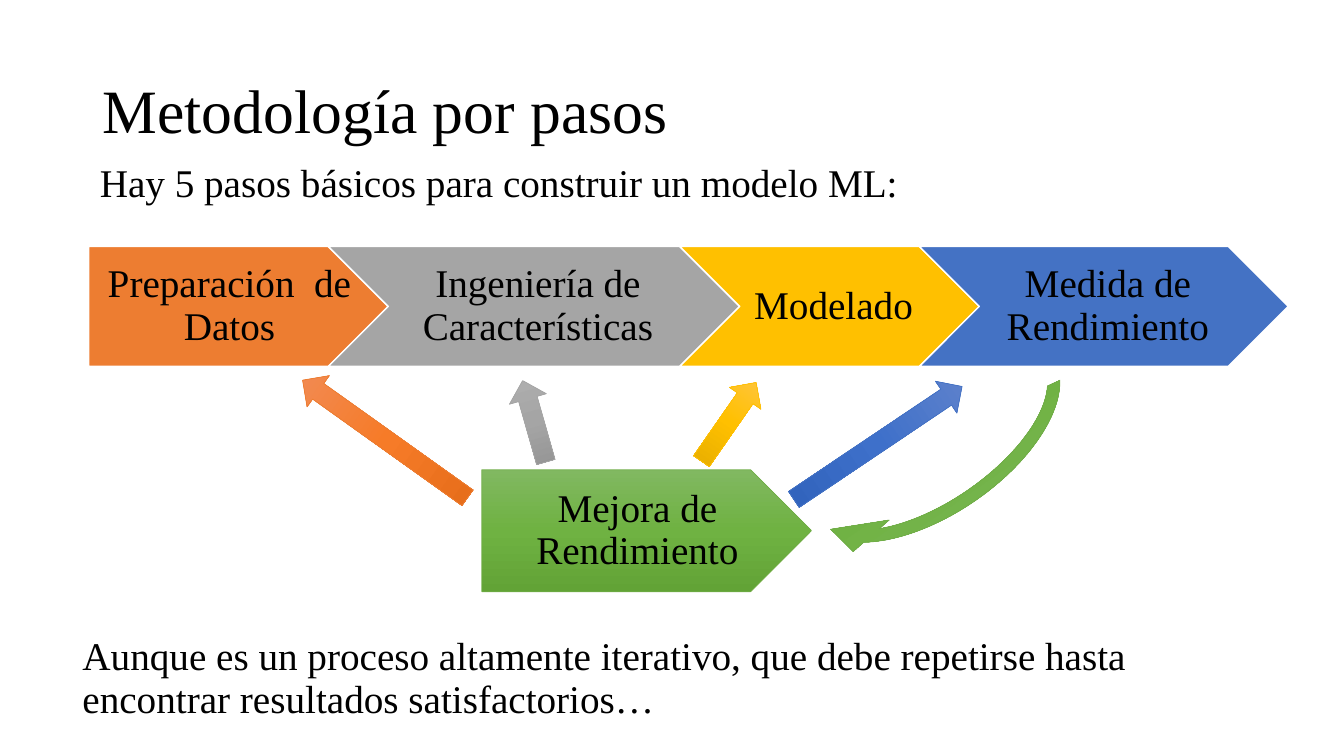
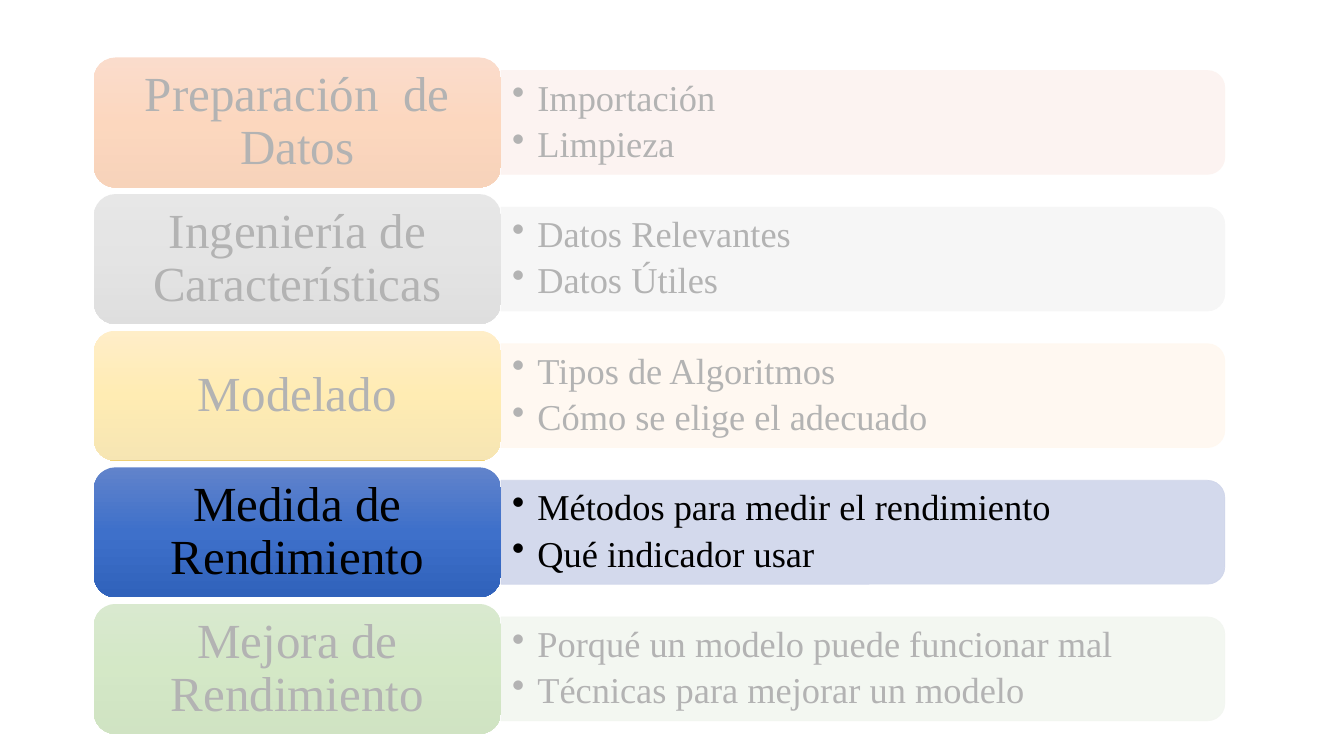
from copy import deepcopy
from dataclasses import dataclass
from typing import Optional

from lxml.etree import SubElement
from pptx import Presentation
from pptx.dml.color import RGBColor
from pptx.enum.shapes import MSO_SHAPE as Preset
from pptx.enum.text import MSO_ANCHOR as Anchor, MSO_AUTO_SIZE as AutoSize, PP_ALIGN as Align
from pptx.oxml.ns import qn
from pptx.util import Emu, Inches, Pt

SLIDE_WIDTH, SLIDE_HEIGHT = Emu(12192000), Inches(7.5)
FONT = "Times New Roman"
BLACK = RGBColor(0x00, 0x00, 0x00)
WHITE = RGBColor(0xFF, 0xFF, 0xFF)
ORANGE = RGBColor(0xED, 0x7D, 0x31)
GRAY = RGBColor(0xA5, 0xA5, 0xA5)
GOLD = RGBColor(0xFF, 0xC0, 0x00)
BLUE = RGBColor(0x44, 0x72, 0xC4)
GREEN = RGBColor(0x70, 0xAD, 0x47)
ORANGE_TINT = RGBColor(0xF8, 0xD7, 0xCE)
GRAY_TINT = RGBColor(0xE1, 0xE1, 0xE1)
GOLD_TINT = RGBColor(0xFF, 0xE8, 0xCC)
BLUE_TINT = RGBColor(0xCF, 0xD5, 0xEA)
GREEN_TINT = RGBColor(0xD5, 0xE3, 0xCF)
ORANGE_TONES = (RGBColor(0xF1, 0x8C, 0x57), RGBColor(0xF6, 0x7B, 0x28), RGBColor(0xE5, 0x6C, 0x19))
GRAY_TONES = (RGBColor(0xAF, 0xAF, 0xAF), RGBColor(0xA5, 0xA5, 0xA5), RGBColor(0x93, 0x93, 0x93))
GOLD_TONES = (RGBColor(0xFF, 0xC6, 0x4B), RGBColor(0xFF, 0xC0, 0x00), RGBColor(0xE3, 0xAB, 0x00))
BLUE_TONES = (RGBColor(0x61, 0x83, 0xCB), RGBColor(0x3E, 0x70, 0xCA), RGBColor(0x30, 0x62, 0xBB))
GREEN_TONES = (RGBColor(0x81, 0xB8, 0x61), RGBColor(0x6F, 0xB2, 0x42), RGBColor(0x62, 0xA3, 0x36))


@dataclass(frozen=True)
class Area:
    """Position and size in percent of the slide."""

    left: float
    top: float
    width: float
    height: float

    def emu(self) -> tuple:
        return (
            Emu(round(SLIDE_WIDTH * self.left / 100)),
            Emu(round(SLIDE_HEIGHT * self.top / 100)),
            Emu(round(SLIDE_WIDTH * self.width / 100)),
            Emu(round(SLIDE_HEIGHT * self.height / 100)),
        )

    def quarter_turned(self) -> tuple:
        left, top, width, height = self.emu()
        shift = (width - height) // 2
        return Emu(left + shift), Emu(top - shift), height, width


@dataclass(frozen=True)
class Step:
    name: str
    color: RGBColor
    tones: tuple
    tint: RGBColor
    topics: tuple
    width: float = 0


@dataclass(frozen=True)
class FeedbackArrow:
    area: Area
    rotation: float


STEPS = (
    Step("Preparación  de Datos", ORANGE, ORANGE_TONES, ORANGE_TINT,
         ("Importación", "Limpieza"), 22.28),
    Step("Ingeniería de Características", GRAY, GRAY_TONES, GRAY_TINT,
         ("Datos Relevantes", "Datos Útiles"), 30.6),
    Step("Modelado", GOLD, GOLD_TONES, GOLD_TINT,
         ("Tipos de Algoritmos", "Cómo se elige el adecuado"), 22.28),
    Step("Medida de Rendimiento", BLUE, BLUE_TONES, BLUE_TINT,
         ("Métodos para medir el rendimiento", "Qué indicador usar"), 27.45),
    Step("Mejora de Rendimiento", GREEN, GREEN_TONES, GREEN_TINT,
         ("Porqué un modelo puede funcionar mal", "Técnicas para mejorar un modelo")),
)
FEEDBACK = (
    FeedbackArrow(Area(27.23, 44.67, 2.85, 26.8), 305.5),
    FeedbackArrow(Area(38.33, 50.13, 2.85, 11.2), 344.1),
    FeedbackArrow(Area(52.8, 49.47, 2.85, 12.67), 34.8),
    FeedbackArrow(Area(63.9, 45.2, 2.85, 26.8), 56.1),
)
CYCLE_ADJUSTMENTS = (0.07, 9.59, 202.4, 113.75, 0.13)
CHAIN_LEFT, CHAIN_TOP, CHAIN_HEIGHT, CHAIN_OVERLAP = 6.6, 32.6, 15.87, 4.45
ROW_LEFT, ROW_TOP, ROW_PITCH = 6.98, 7.6, 18.07
CARD_WIDTH, CARD_HEIGHT = 30.3, 17.2
BAND_WIDTH, BAND_HEIGHT = 53.85, 13.73
VEILS = (Area(3.15, 0.67, 90.9, 60.27), Area(3.75, 79.33, 90.9, 18.53))
PLATE_INSETS = (0.16, 0.08, 0.04, 0.08)
CHEVRON_INSETS = (0.12, 0.08, 0.04, 0.08)
CARD_INSETS = (0.15, 0.07, 0.15, 0.07)
TEXT_INSETS = (0.1, 0.05, 0.1, 0.05)
LIST_INSETS = (0.11, 0.05, 0.11, 0.05)


def set_bullet(paragraph, bulleted: bool) -> None:
    properties = paragraph._p.get_or_add_pPr()
    indent = Inches(0.25) if bulleted else 0
    properties.set("marL", str(indent))
    properties.set("indent", str(-indent))
    if bulleted:
        SubElement(properties, qn("a:buChar")).set("char", "•")
    else:
        SubElement(properties, qn("a:buNone"))


def write(shape, lines: tuple, size: float, align=Align.LEFT, anchor=Anchor.TOP,
          insets: tuple = TEXT_INSETS, bulleted: bool = False) -> None:
    frame = shape.text_frame
    frame.word_wrap = True
    frame.auto_size = AutoSize.NONE
    frame.vertical_anchor = anchor
    frame.margin_left, frame.margin_top, frame.margin_right, frame.margin_bottom = map(Inches, insets)
    for index, line in enumerate(lines):
        paragraph = frame.add_paragraph() if index else frame.paragraphs[0]
        paragraph.text = line
        set_bullet(paragraph, bulleted)
        paragraph.alignment = align
        paragraph.line_spacing = 0.9
        paragraph.space_before = Pt(5 if index else 0)
        paragraph.font.size = Pt(size)
        paragraph.font.name = FONT
        paragraph.font.color.rgb = BLACK


def add_preset(slide, preset, bounds: tuple, line: Optional[RGBColor] = None,
               line_width: float = 0.5, rotation: float = 0):
    shape = slide.shapes.add_shape(preset, *bounds)
    shape.shadow.inherit = False
    shape.rotation = rotation
    if line is None:
        shape.line.fill.background()
    else:
        shape.line.color.rgb = line
        shape.line.width = Pt(line_width)
    return shape


def fill_solid(shape, color: RGBColor, opacity: int = 100) -> None:
    shape.fill.solid()
    shape.fill.fore_color.rgb = color
    if opacity < 100:
        for color_node in shape._element.spPr.iter(qn("a:srgbClr")):
            SubElement(color_node, qn("a:alpha")).set("val", str(opacity * 1000))


def fill_gradient(shape, tones: tuple) -> None:
    shape.fill.gradient()
    shape.fill.gradient_angle = 270
    stop_list = shape._element.spPr.find(".//" + qn("a:gsLst"))
    stop_list.append(deepcopy(stop_list[0]))
    for index, (stop, tone) in enumerate(zip(shape.fill.gradient_stops, tones)):
        stop.color.rgb = tone
        stop.position = index / 2


def label_step(shape, step: Step, size: float, insets: tuple) -> None:
    write(shape, (step.name,), size, Align.CENTER, Anchor.MIDDLE, insets)


def place(placeholder, area: Area):
    placeholder.left, placeholder.top, placeholder.width, placeholder.height = area.emu()
    return placeholder


def draw_chain(slide, steps: tuple) -> None:
    left = CHAIN_LEFT
    for index, step in enumerate(steps):
        preset = Preset.CHEVRON if index else Preset.PENTAGON
        area = Area(left, CHAIN_TOP, step.width, CHAIN_HEIGHT)
        link = add_preset(slide, preset, area.emu(), WHITE, 1)
        fill_solid(link, step.color)
        label_step(link, step, 28, CHEVRON_INSETS if index else PLATE_INSETS)
        left += step.width - CHAIN_OVERLAP


def draw_feedback(slide, steps: tuple, improvement: Step) -> None:
    plate = add_preset(slide, Preset.PENTAGON, Area(35.85, 62.13, 24.53, 16.13).emu(), improvement.color)
    fill_gradient(plate, improvement.tones)
    label_step(plate, improvement, 28, PLATE_INSETS)
    cycle = add_preset(slide, Preset.CIRCULAR_ARROW, Area(57.3, 46, 24.23, 24.27).emu(),
                       improvement.color, rotation=145.4)
    for index, value in enumerate(CYCLE_ADJUSTMENTS):
        cycle.adjustments[index] = value
    fill_gradient(cycle, improvement.tones)
    for step, feedback in zip(steps, FEEDBACK):
        arrow = add_preset(slide, Preset.UP_ARROW, feedback.area.emu(), step.color,
                           rotation=feedback.rotation)
        fill_gradient(arrow, step.tones)


def draw_row(slide, index: int, step: Step) -> None:
    top = ROW_TOP + index * ROW_PITCH
    band_left = ROW_LEFT + CARD_WIDTH
    band_area = Area(band_left, top + (CARD_HEIGHT - BAND_HEIGHT) / 2, BAND_WIDTH, BAND_HEIGHT)
    band = add_preset(slide, Preset.ROUND_2_SAME_RECTANGLE, band_area.quarter_turned(), step.tint,
                      rotation=90)
    fill_solid(band, step.tint, 90)
    topics = slide.shapes.add_textbox(*band_area.emu())
    write(topics, step.topics, 26, anchor=Anchor.MIDDLE, insets=LIST_INSETS, bulleted=True)
    card = add_preset(slide, Preset.ROUNDED_RECTANGLE,
                      Area(ROW_LEFT, top, CARD_WIDTH, CARD_HEIGHT).emu())
    fill_gradient(card, step.tones)
    label_step(card, step, 35, CARD_INSETS)


def build_method(deck) -> None:
    slide = deck.slides.add_slide(deck.slide_layouts[1])
    title, intro = slide.placeholders
    write(place(title, Area(6.9, 5.33, 86.25, 19.33)), ("Metodología por pasos",), 44,
          anchor=Anchor.MIDDLE)
    write(place(intro, Area(6.68, 20.93, 86.25, 10.27)),
          ("Hay 5 pasos básicos para construir un modelo ML:",), 28)
    *chain, improvement = STEPS
    draw_chain(slide, tuple(chain))
    closing = slide.shapes.add_textbox(*Area(5.4, 83.6, 89.18, 16.27).emu())
    write(closing, ("Aunque es un proceso altamente iterativo, que debe repetirse hasta "
                    "encontrar resultados satisfactorios…",), 28)
    draw_feedback(slide, tuple(chain), improvement)


def build_overview(deck) -> None:
    slide = deck.slides.add_slide(deck.slide_layouts[6])
    for index, step in enumerate(STEPS):
        draw_row(slide, index, step)
    for area in VEILS:
        fill_solid(add_preset(slide, Preset.RECTANGLE, area.emu()), WHITE, 70)


def main() -> None:
    deck = Presentation()
    deck.slide_width, deck.slide_height = SLIDE_WIDTH, SLIDE_HEIGHT
    build_method(deck)
    build_overview(deck)
    deck.save("out.pptx")


if __name__ == "__main__":
    main()
